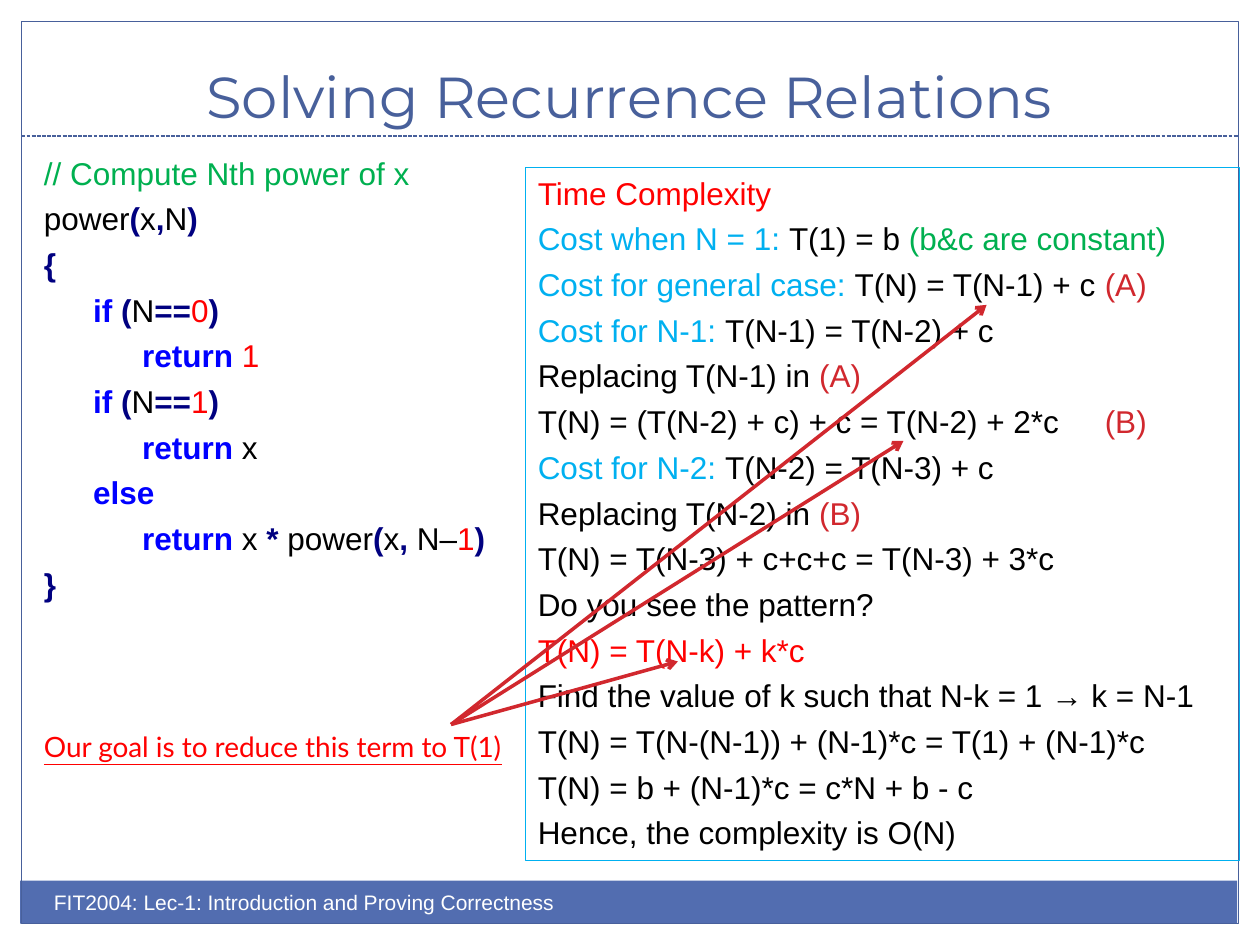
"""Build the slide on solving recurrence relations."""
from lxml.etree import SubElement
from pptx import Presentation
from pptx.dml.color import RGBColor
from pptx.enum.dml import MSO_LINE
from pptx.enum.shapes import MSO_CONNECTOR, MSO_SHAPE
from pptx.enum.text import MSO_ANCHOR, PP_ALIGN
from pptx.oxml.ns import qn
from pptx.util import Inches, Pt

BLACK = RGBColor(0x00, 0x00, 0x00)
WHITE = RGBColor(0xFF, 0xFF, 0xFF)
RED = RGBColor(0xFF, 0x00, 0x00)
GREEN = RGBColor(0x00, 0xB0, 0x50)
BLUE = RGBColor(0x00, 0x00, 0xFF)
NAVY = RGBColor(0x00, 0x00, 0x80)
SKY = RGBColor(0x00, 0xB0, 0xF0)
BRICK = RGBColor(0xD1, 0x28, 0x2E)
FRAME = RGBColor(0x48, 0x60, 0x9B)
BAND = RGBColor(0x52, 0x6D, 0xB0)
BOLD = (BLUE, NAVY)

TITLE = "Solving Recurrence Relations"
FOOTER = "FIT2004: Lec-1: Introduction and Proving Correctness"
GOAL = "Our goal is to reduce this term to T(1)"


def test(num):
    return [("if", BLUE), " ", ("(", NAVY), "N", ("==", NAVY), (num, RED), (")", NAVY)]


BACK = ("return", BLUE)
CODE = [
    (0, [("// Compute Nth power of x", GREEN)]),
    (0, ["power", ("(", NAVY), "x", (",", NAVY), "N", (")", NAVY)]),
    (0, [("{", NAVY)]),
    (1, test("0")),
    (2, [BACK, " ", ("1", RED)]),
    (1, test("1")),
    (2, [BACK, " x"]),
    (1, [("else", BLUE)]),
    (2, [BACK, " x ", ("*", NAVY), " power", ("(", NAVY), "x", (",", NAVY),
         " N–", ("1", RED), (")", NAVY)]),
    (0, [("}", NAVY)]),
]
PROOF = [
    [("Time Complexity", RED)],
    [("Cost when N = 1: ", SKY), "T(1) = b ", ("(b&c are constant)", GREEN)],
    [("Cost for general case: ", SKY), "T(N) = T(N-1) + c\t", ("(A)", BRICK)],
    [("Cost for N-1: ", SKY), "T(N-1) = T(N-2) + c"],
    ["Replacing T(N-1) in ", ("(A)", BRICK)],
    ["T(N) = (T(N-2) + c) + c = T(N-2) + 2*c\t", ("(B)", BRICK)],
    [("Cost for N-2: ", SKY), "T(N-2) = T(N-3) + c"],
    ["Replacing T(N-2) in ", ("(B)", BRICK)],
    ["T(N) = T(N-3) + c+c+c = T(N-3) + 3*c"],
    ["Do you see the pattern?"],
    [("T(N) = T(N-k) + k*c", RED)],
    ["Find the value of k such that N-k = 1 → k = N-1"],
    ["T(N) = T(N-(N-1)) + (N-1)*c = T(1) + (N-1)*c"],
    ["T(N) = b + (N-1)*c = c*N + b - c"],
    ["Hence, the complexity is O(N)"],
]
STOPS = {2: 4.84, 5: 4.98}
START = (3.58, 5.75)
TIPS = [(7.83, 2.42), (7.17, 3.5), (5.38, 5.25)]


def write(frame, runs, size=18, font="Arial", color=BLACK, align=PP_ALIGN.LEFT,
          gap=4.5, level=0, stop=None, under=None):
    first = not frame.paragraphs[0].runs
    para = frame.paragraphs[0] if first else frame.add_paragraph()
    props = para._p.get_or_add_pPr()
    props.set("marL", str(Inches(0.39 * level)))
    props.set("indent", "0")
    if stop:
        tabs = SubElement(props, qn("a:tabLst"))
        SubElement(tabs, qn("a:tab"), pos=str(Inches(stop)), algn="l")
    para.alignment = align
    para.space_before = Pt(0 if first else gap)
    for item in runs:
        text, tint = (item, color) if isinstance(item, str) else item
        run = para.add_run()
        run.text = text
        run.font.name = font
        run.font.size = Pt(size)
        run.font.bold = tint in BOLD
        run.font.underline = under
        run.font.color.rgb = tint


def text_box(slide, place, anchor=MSO_ANCHOR.TOP):
    frame = slide.shapes.add_textbox(*map(Inches, place)).text_frame
    frame.word_wrap = True
    frame.vertical_anchor = anchor
    return frame


def add_rect(slide, place, fill=None, line=None):
    rect = slide.shapes.add_shape(MSO_SHAPE.RECTANGLE, *map(Inches, place))
    rect.shadow.inherit = False
    if fill:
        rect.fill.solid()
        rect.fill.fore_color.rgb = fill
    else:
        rect.fill.background()
    if line:
        rect.line.color.rgb = line
        rect.line.width = Pt(0.75)
    else:
        rect.line.fill.background()
    return rect


def add_line(slide, start, end, color, width):
    link = slide.shapes.add_connector(MSO_CONNECTOR.STRAIGHT, *map(Inches, start + end))
    link.line.color.rgb = color
    link.line.width = Pt(width)
    SubElement(link._element.spPr, qn("a:effectLst"))
    return link


def main():
    deck = Presentation()
    deck.slide_width, deck.slide_height = Inches(10), Inches(7.5)
    slide = deck.slides.add_slide(deck.slide_layouts[6])

    add_rect(slide, (0.16, 6.99, 9.66, 0.34), fill=BAND)
    add_rect(slide, (0.17, 0.17, 9.66, 7.16), line=FRAME)
    rule = add_line(slide, (0.17, 1.08), (9.83, 1.08), FRAME, 0.75)
    rule.line.dash_style = MSO_LINE.SQUARE_DOT

    head = text_box(slide, (0.33, 0.25, 9.33, 0.83), MSO_ANCHOR.BOTTOM)
    write(head, [TITLE], size=33, font="Montserrat", color=FRAME, align=PP_ALIGN.CENTER)
    foot = text_box(slide, (0.33, 7.01, 5, 0.4))
    write(foot, [FOOTER], size=12, color=WHITE)

    code = text_box(slide, (0.25, 1.17, 3.92, 3.83))
    for level, runs in CODE:
        write(code, runs, level=level)
    write(code, [GOAL], size=16, font="Lato", color=RED, gap=72.5, under=True)

    proof = add_rect(slide, (4.17, 1.33, 5.67, 5.5), line=SKY).text_frame
    proof.word_wrap = True
    proof.vertical_anchor = MSO_ANCHOR.TOP
    for row, runs in enumerate(PROOF):
        write(proof, runs, stop=STOPS.get(row))

    for tip in TIPS:
        arrow = add_line(slide, START, tip, BRICK, 2)
        SubElement(arrow.line._get_or_add_ln(), qn("a:tailEnd"), type="arrow")

    deck.save("out.pptx")


if __name__ == "__main__":
    main()
